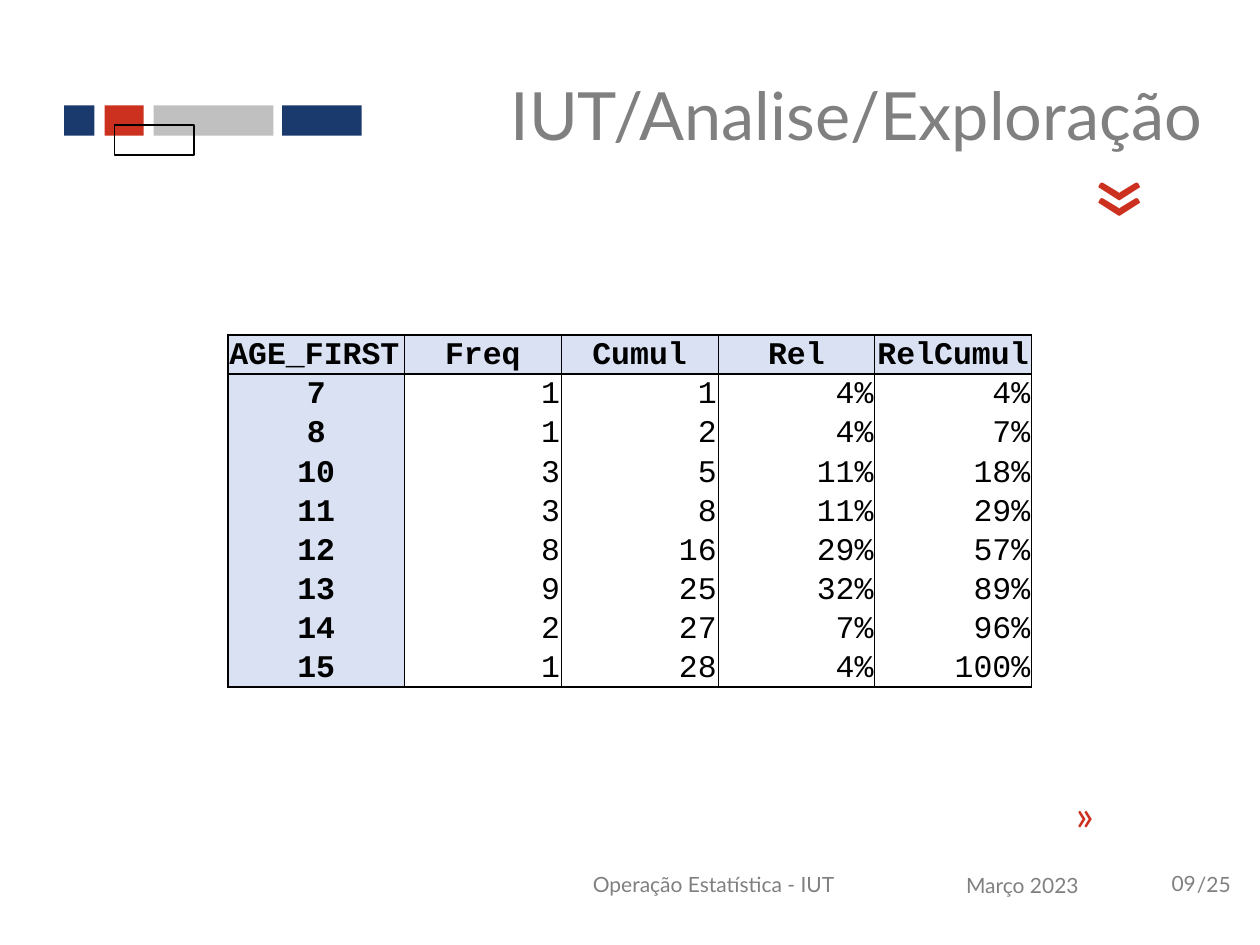
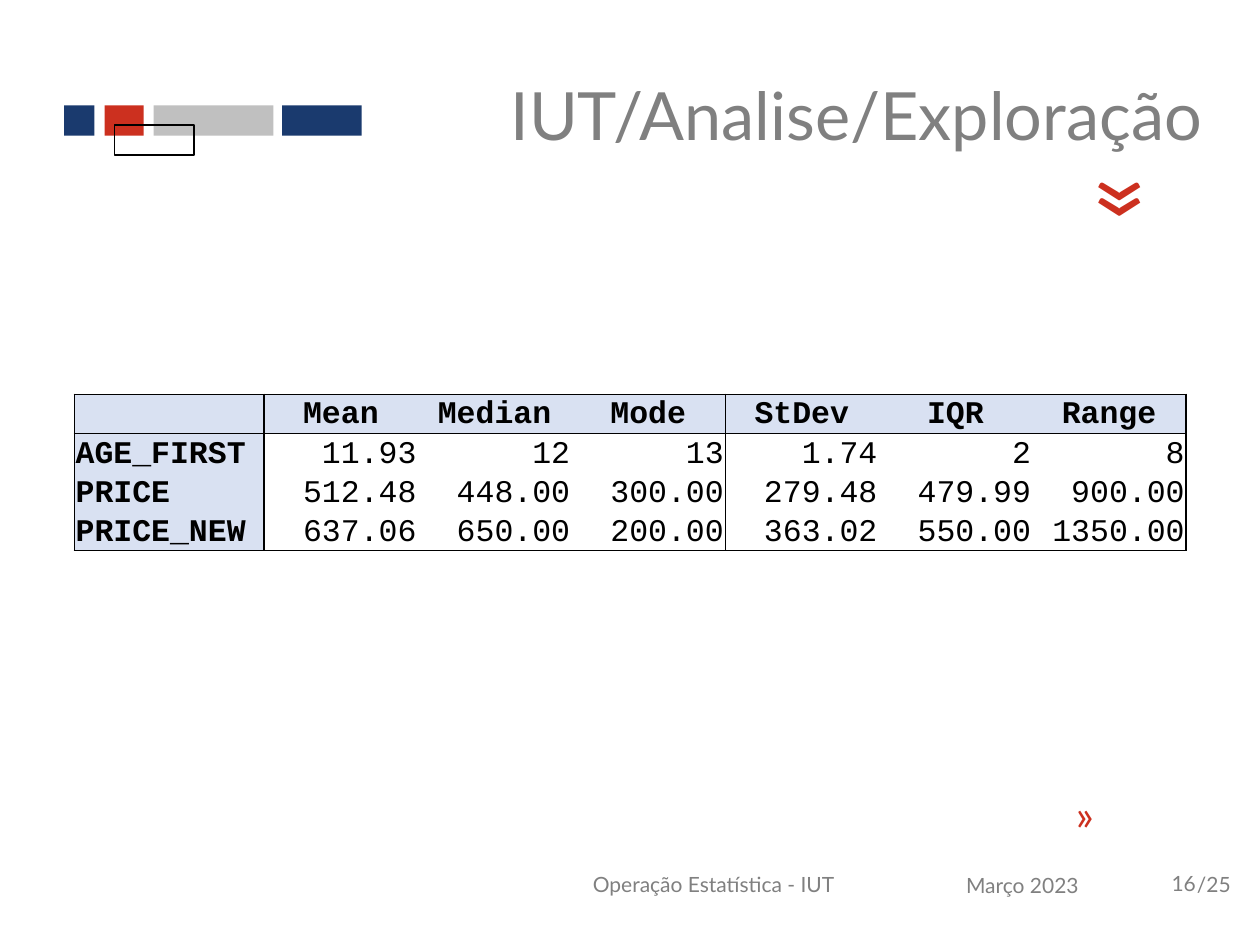
from dataclasses import dataclass

from lxml import etree
from pptx import Presentation
from pptx.dml import color
from pptx.enum import shapes, text
from pptx.oxml import ns
from pptx.util import Pt

NAVY, RED, SILVER = "1A3A6E", "CC301F", "C0C0C0"
GREY, BLACK, PALE = "808080", "000000", "D9E1F2"
SANS, MONO = "Lato", "Courier New"
LEFT, MID, RIGHT = text.PP_ALIGN.LEFT, text.PP_ALIGN.CENTER, text.PP_ALIGN.RIGHT
TOP, HALF = text.MSO_ANCHOR.TOP, text.MSO_ANCHOR.MIDDLE
ROW = 22.32


@dataclass
class Bar:
    left: float
    top: float
    width: float
    fill: str | None = None


@dataclass
class Label:
    words: str
    left: float
    top: float
    width: float
    height: float
    size: float = 12
    ink: str = GREY
    align: text.PP_ALIGN = LEFT
    anchor: text.MSO_ANCHOR = HALF
    turn: float = 0
    inset: float = 7.2


@dataclass
class Grid:
    """rules holds the line width at each column edge, 0 for none."""
    left: float
    top: float
    widths: list[float]
    rules: list[float]
    first: text.PP_ALIGN  # alignment of the row labels
    corner: text.PP_ALIGN
    rows: list[list[str]]


BARS = [
    Bar(36.72, 60.3, 17.28, NAVY),
    Bar(59.76, 60.3, 22.32, RED),
    Bar(87.84, 60.3, 68.4, SILVER),
    Bar(161.28, 60.3, 45.36, NAVY),
    Bar(65.52, 71.4, 45.36),
]
LABELS = [
    Label("/25", 655.2, 485.28, 64.8, 39.6, inset=28.8),
    Label("Operação Estatística - IUT", 297.36, 485.28, 221.04, 39.6, align=MID),
    Label("Março 2023", 518.4, 486, 131.76, 39.6, align=MID),
    Label("«", 595.44, 453.6, 36.72, 36, 24, RED, anchor=TOP, turn=180),
    Label("«", 612, 74.16, 39.6, 79.2, 60, RED, anchor=TOP, turn=270),
    Label("IUT/Analise/Exploração", 218.16, 31.68, 475.92, 66.96, 38, align=RIGHT),
]
AGES = Grid(
    130.32, 191.52, [100.8] + [89.6] * 4, [1, 1, 0.5, 0.5, 0.5, 1], MID, LEFT,
    [
        ["AGE_FIRST", "Freq", "Cumul", "Rel", "RelCumul"],
        ["7", "1", "1", "4%", "4%"],
        ["8", "1", "2", "4%", "7%"],
        ["10", "3", "5", "11%", "18%"],
        ["11", "3", "8", "11%", "29%"],
        ["12", "8", "16", "29%", "57%"],
        ["13", "9", "25", "32%", "89%"],
        ["14", "2", "27", "7%", "96%"],
        ["15", "1", "28", "4%", "100%"],
    ],
)
STATS = Grid(
    42.48, 225.36, [108.4] + [87.8] * 6, [1, 1, 0, 0, 0.5, 0, 0, 1], LEFT, MID,
    [
        ["", "Mean", "Median", "Mode", "StDev", "IQR", "Range"],
        ["AGE_FIRST", "11.93", "12", "13", "1.74", "2", "8"],
        ["PRICE", "512.48", "448.00", "300.00", "279.48", "479.99", "900.00"],
        ["PRICE_NEW", "637.06", "650.00", "200.00", "363.02", "550.00", "1350.00"],
    ],
)


def paint(target, code: str) -> None:
    """Colour a fill or a font from a hex string."""
    rgb = color.RGBColor.from_string(code)
    if hasattr(target, "solid"):
        target.solid()
        target.fore_color.rgb = rgb
    else:
        target.color.rgb = rgb


def style(para, face: str, size: float, ink: str, align, bold: bool = False) -> None:
    para.alignment = align
    para.font.name, para.font.size, para.font.bold = face, Pt(size), bold
    paint(para.font, ink)


def draw_bar(slide, bar: Bar) -> None:
    box = slide.shapes.add_shape(
        shapes.MSO_SHAPE.RECTANGLE,
        Pt(bar.left), Pt(bar.top), Pt(bar.width), Pt(17.28))
    box.shadow.inherit = False
    if bar.fill:
        paint(box.fill, bar.fill)
        box.line.fill.background()
    else:
        box.fill.background()
        paint(box.line.fill, BLACK)
        box.line.width = Pt(0.75)


def draw_label(slide, label: Label) -> None:
    box = slide.shapes.add_textbox(
        Pt(label.left), Pt(label.top), Pt(label.width), Pt(label.height))
    box.rotation = label.turn
    frame = box.text_frame
    frame.word_wrap = True
    frame.vertical_anchor = label.anchor
    frame.margin_left = Pt(label.inset)
    frame.text = label.words
    style(frame.paragraphs[0], SANS, label.size, label.ink, label.align)


def rule_cell(cell, sides: dict[str, float]) -> None:
    """Set the cell borders, given as widths by side, 0 for none."""
    props = cell._tc.get_or_add_tcPr()
    for side, width in sides.items():
        line = etree.SubElement(props, ns.qn(f"a:ln{side}"), w=str(Pt(width)))
        if width:
            fill = etree.SubElement(line, ns.qn("a:solidFill"))
            etree.SubElement(fill, ns.qn("a:srgbClr"), val=BLACK)
        else:
            etree.SubElement(line, ns.qn("a:noFill"))


def draw_grid(slide, grid: Grid) -> None:
    count = len(grid.rows)
    table = slide.shapes.add_table(
        count, len(grid.widths), Pt(grid.left), Pt(grid.top),
        Pt(sum(grid.widths)), Pt(ROW * count)).table
    table.first_row = table.horz_banding = False
    for col, width in zip(table.columns, grid.widths):
        col.width = Pt(width)
    for r, row in enumerate(grid.rows):
        table.rows[r].height = Pt(ROW)
        for c, words in enumerate(row):
            cell = table.cell(r, c)
            head = r == 0 or c == 0
            rule_cell(cell, {
                "L": grid.rules[c], "R": grid.rules[c + 1],
                "T": int(r < 2), "B": int(r in (0, count - 1))})
            if head:
                paint(cell.fill, PALE)
            else:
                cell.fill.background()
            cell.margin_left = cell.margin_right = cell.margin_top = Pt(0.72)
            cell.margin_bottom = Pt(0)
            cell.vertical_anchor = text.MSO_ANCHOR.BOTTOM
            cell.text = words
            if c == 0:
                align = grid.first if r else grid.corner
            else:
                align = RIGHT if r else MID
            style(cell.text_frame.paragraphs[0], MONO, 18, BLACK, align, head)


def add_page(deck, number: str, grid: Grid) -> None:
    slide = deck.slides.add_slide(deck.slide_layouts[6])
    for bar in BARS:
        draw_bar(slide, bar)
    page = Label(number, 662.4, 493.92, 31.68, 21.6, anchor=TOP)
    for label in [*LABELS, page]:
        draw_label(slide, label)
    draw_grid(slide, grid)


def main() -> None:
    deck = Presentation()
    deck.slide_width, deck.slide_height = Pt(720), Pt(540)
    add_page(deck, "09", AGES)
    add_page(deck, "16", STATS)
    deck.save("out.pptx")


if __name__ == "__main__":
    main()
